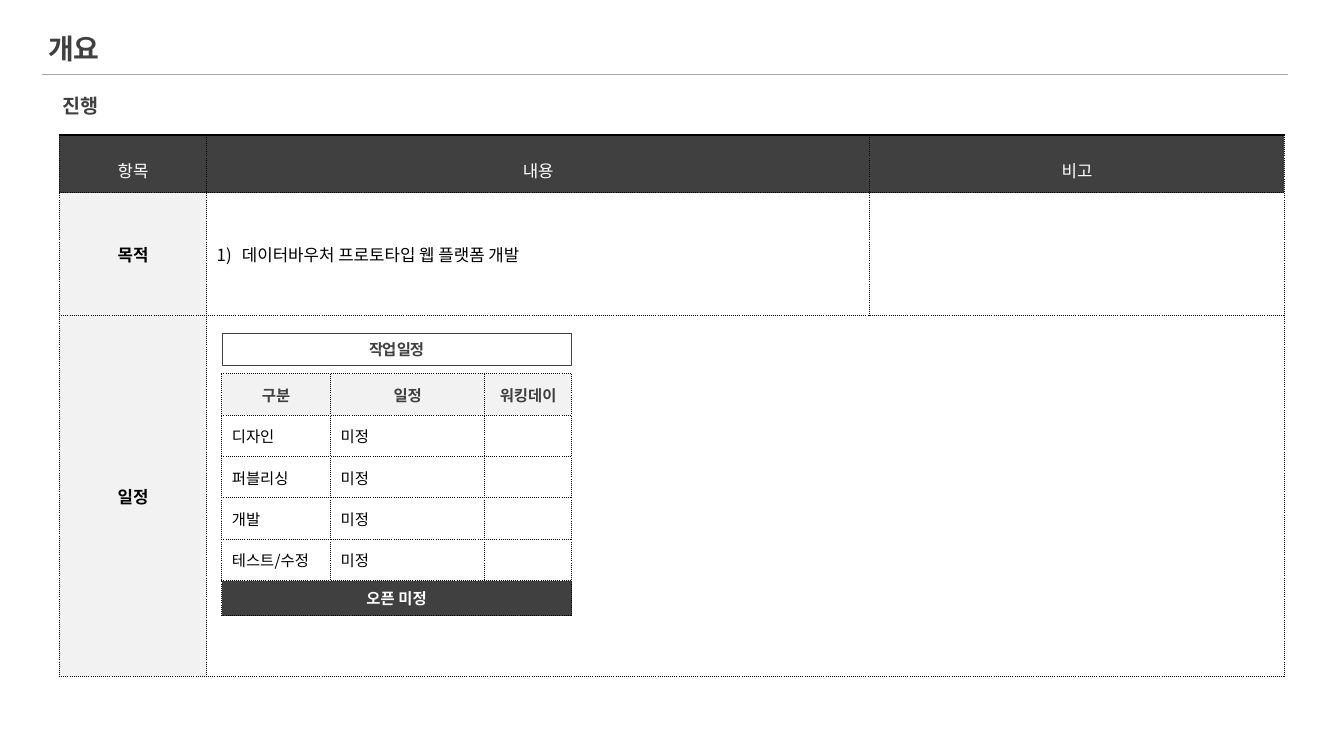
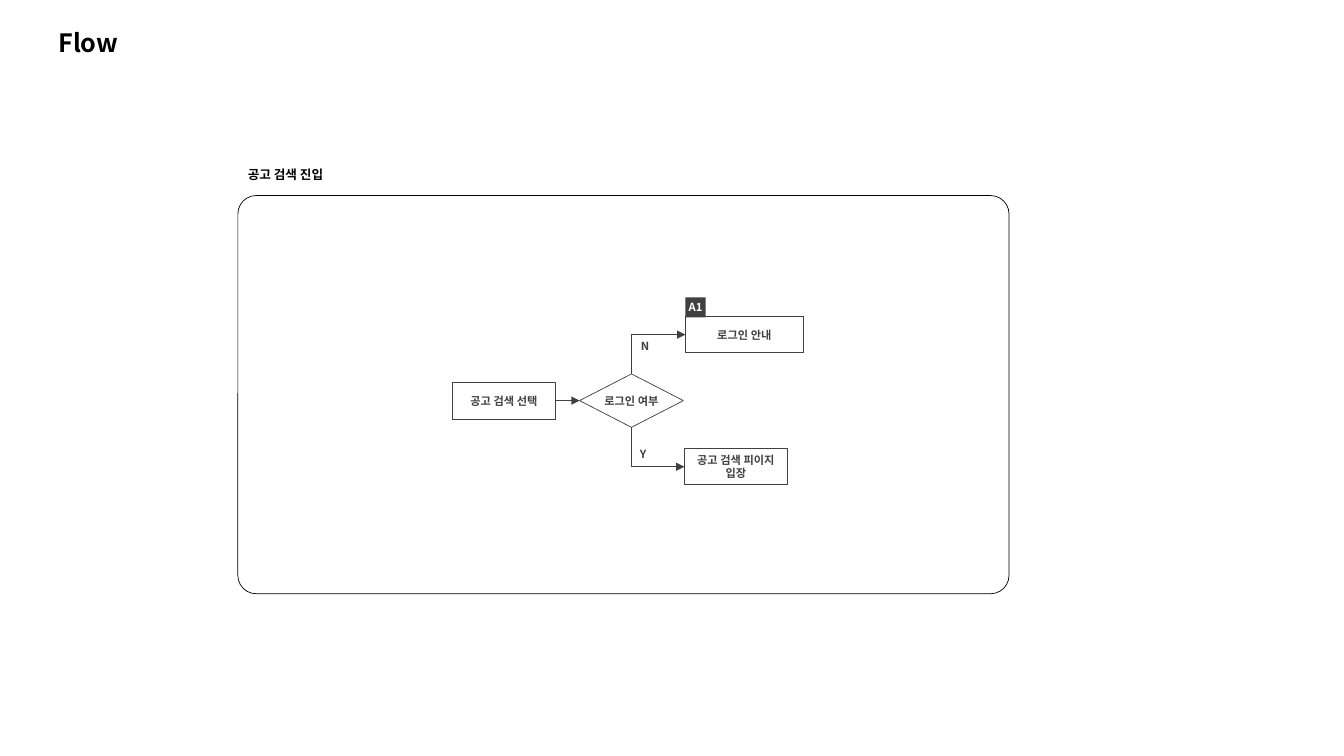
from dataclasses import dataclass
from lxml.etree import SubElement
from pptx import Presentation
from pptx.dml.color import RGBColor
from pptx.enum.shapes import MSO_CONNECTOR, MSO_SHAPE
from pptx.enum.text import MSO_ANCHOR, PP_ALIGN
from pptx.oxml.ns import qn
from pptx.util import Inches, Pt


@dataclass(frozen=True)
class Theme:
    font: str = "Noto Sans CJK KR"
    ink: str = "000000"
    dark: str = "404040"
    rule: str = "A6A6A6"
    pale: str = "F2F2F2"
    paper: str = "FFFFFF"
    title: int = 20
    flow_title: int = 18
    heading: int = 14
    table: int = 12
    schedule: int = 11
    caption: int = 9
    node: int = 8


THEME = Theme()
CELL = 0.1  # grid step in inches; every place below counts grid steps
COLUMNS, ROWS = 133.33, 75
LEFT, CENTER = PP_ALIGN.LEFT, PP_ALIGN.CENTER

# Cell styles: fill, text colour, bold, alignment
CELL_STYLES = {
    "head": (THEME.dark, THEME.paper, False, CENTER),
    "label": (THEME.pale, THEME.ink, True, CENTER),
    "subhead": (THEME.pale, THEME.dark, True, CENTER),
    "body": (THEME.paper, THEME.ink, False, LEFT),
    "number": (THEME.paper, THEME.ink, False, LEFT),
    "total": (THEME.dark, THEME.paper, True, CENTER),
}

# Content: overview slide
OVERVIEW_TITLE = ("개요", (3.8, 3, 62.9, 3.8),
                  dict(size=THEME.title, color=THEME.dark, spacing=0.9))
OVERVIEW_HEADING = ("진행", (5.2, 8.8, 116.5, 3.4),
                    dict(size=THEME.heading, color=THEME.dark))
TITLE_RULE = ((4.2, 7.4), (127.8, 7.4))
OVERVIEW_TABLE = dict(
    place=(5.9, 13.4), widths=[14.6, 65.8, 41.1], heights=[5.7, 12.2, 35.8],
    size=THEME.table, merge=((2, 1), (2, 2)), top_width=1, head_spacing=1.5,
    rows=[
        (["항목", "내용", "비고"], ["head"] * 3),
        (["목적", "데이터바우처 프로토타입 웹 플랫폼 개발", ""], ["label", "number", "body"]),
        (["일정", "", ""], ["label", "body", "body"]),
    ])
SCHEDULE_BANNER = ("작업 일정", (22, 33.1, 34.7, 3.1))
TASKS = ["디자인", "퍼블리싱", "개발", "테스트/수정"]
SCHEDULE_TABLE = dict(
    place=(22, 37.1), widths=[10.8, 15.3, 8.6], heights=[4.1] * 5 + [3.5],
    size=THEME.schedule, merge=((5, 0), (5, 2)),
    rows=[(["구분", "일정", "워킹데이"], ["subhead"] * 3)]
    + [([task, "미정", ""], ["body"] * 3) for task in TASKS]
    + [(["오픈 미정", "", ""], ["total"] * 3)])

# Content: flow slide
FLOW_TITLE = ("Flow", (4.8, 2.2, 85.1, 4),
              dict(size=THEME.flow_title, color=THEME.ink))
FLOW_CAPTION = ("공고 검색 진입", (23.6, 16.1, 9.6, 2.3),
                dict(size=THEME.caption, color=THEME.ink))
FLOW_PANEL = (23.6, 19.4, 76.5, 39.5)
FLOW_NODES = {
    "select": ("공고 검색 선택", (44.9, 37.9, 10.2, 3.7), MSO_SHAPE.ROUNDED_RECTANGLE),
    "signed_in": ("로그인 여부", (57.5, 37.1, 10.3, 5.3), MSO_SHAPE.FLOWCHART_DECISION),
    "enter": ("공고 검색 피이지\n입장", (67.9, 44.5, 10.2, 3.6), MSO_SHAPE.ROUNDED_RECTANGLE),
    "notice": ("로그인 안내", (68, 31.4, 11.7, 3.6), MSO_SHAPE.ROUNDED_RECTANGLE),
}
# Node sides: 0 top, 1 left, 2 bottom, 3 right
STRAIGHT_STEP = ("select", 3, "signed_in", 1)
BRANCHES = [("signed_in", 0, "notice", 1), ("signed_in", 2, "enter", 1)]
BRANCH_LABELS = [("N", (62.6, 33.2, 2.2, 2.4)), ("Y", (62.5, 43.9, 2.2, 2.4))]
SCREEN_TAG = ("A1", (68, 29.5, 2, 2))


def steps(*counts):
    return [Inches(count * CELL) for count in counts]


def rgb(color):
    return RGBColor.from_string(color)


def write(frame, text, size, color, bold=True, align=LEFT, spacing=None,
          tracking=None, numbered=False):
    for index, line in enumerate(text.split("\n")):
        paragraph = frame.add_paragraph() if index else frame.paragraphs[0]
        paragraph.alignment = align
        if spacing:
            paragraph.line_spacing = spacing
        if numbered:
            props = paragraph._p.get_or_add_pPr()
            props.set("marL", str(Inches(0.25)))
            props.set("indent", str(-Inches(0.25)))
            SubElement(props, qn("a:buAutoNum"), type="arabicParenR")
        if not line:
            # Keeps an empty cell from growing its row
            SubElement(paragraph._p, qn("a:endParaRPr"), sz=str(size * 100))
            continue
        run = paragraph.add_run()
        run.text = line
        for name, value in dict(size=Pt(size), bold=bold, name=THEME.font).items():
            setattr(run.font, name, value)
        run.font.color.rgb = rgb(color)
        props = run._r.get_or_add_rPr()
        SubElement(props, qn("a:ea"), typeface=THEME.font)
        if tracking:
            props.set("spc", str(tracking * 100))


def add_label(slide, text, place, style, wrap=True):
    label = slide.shapes.add_textbox(*steps(*place))
    label.text_frame.word_wrap = wrap
    write(label.text_frame, text, **style)


def add_box(slide, place, kind=MSO_SHAPE.ROUNDED_RECTANGLE, text="", fill=THEME.paper,
            line=THEME.dark, line_width=0.5, corner=0, **style):
    box = slide.shapes.add_shape(kind, *steps(*place))
    box.shadow.inherit = False
    box.fill.solid()
    box.fill.fore_color.rgb = rgb(fill)
    if line:
        box.line.color.rgb = rgb(line)
        box.line.width = Pt(line_width)
    else:
        box.line.fill.background()
    if kind == MSO_SHAPE.ROUNDED_RECTANGLE:
        box.adjustments[0] = corner
    frame = box.text_frame
    settings = dict(margin_left=0, margin_right=0, margin_top=0, margin_bottom=0,
                    word_wrap=False, vertical_anchor=MSO_ANCHOR.MIDDLE)
    for name, value in settings.items():
        setattr(frame, name, value)
    if text:
        write(frame, text, align=CENTER, **style)
    return box


def add_line(slide, start=(0, 0), end=(0, 0), color=THEME.dark, arrow=None,
             kind=MSO_CONNECTOR.STRAIGHT):
    line = slide.shapes.add_connector(kind, *steps(*start, *end))
    line.line.color.rgb = rgb(color)
    line.line.width = Pt(0.5)
    if arrow:
        SubElement(line.line._get_or_add_ln(), qn(f"a:{arrow}"), type="triangle")
    SubElement(line._element.spPr, qn("a:effectLst"))
    return line


def border_cell(cell, top_width=None):
    props = cell._tc.get_or_add_tcPr()
    for side in "LRTB":
        solid = side == "T" and top_width
        width = top_width if solid else 0.75
        edge = SubElement(props, qn(f"a:ln{side}"), w=str(Pt(width)))
        SubElement(SubElement(edge, qn("a:solidFill")), qn("a:srgbClr"), val=THEME.ink)
        SubElement(edge, qn("a:prstDash"), val="solid" if solid else "sysDot")


def add_grid(slide, place, widths, heights, size, merge, rows,
             top_width=None, head_spacing=None):
    grid = slide.shapes.add_table(
        len(heights), len(widths), *steps(*place, sum(widths), sum(heights))).table
    grid.first_row = grid.horz_banding = False
    for column, width in zip(grid.columns, steps(*widths)):
        column.width = width
    for row, height in zip(grid.rows, steps(*heights)):
        row.height = height
    for r, (texts, styles) in enumerate(rows):
        for c, (text, style) in enumerate(zip(texts, styles)):
            fill, color, bold, align = CELL_STYLES[style]
            cell = grid.cell(r, c)
            border_cell(cell, top_width if r == 0 else None)
            cell.fill.solid()
            cell.fill.fore_color.rgb = rgb(fill)
            cell.vertical_anchor = MSO_ANCHOR.MIDDLE
            write(cell.text_frame, text, size, color, bold, align,
                  spacing=head_spacing if r == 0 else None,
                  numbered=style == "number")
    first, last = merge
    grid.cell(*first).merge(grid.cell(*last))


def build_overview(slide):
    add_grid(slide, **OVERVIEW_TABLE)
    add_label(slide, *OVERVIEW_TITLE)
    add_grid(slide, **SCHEDULE_TABLE)
    add_label(slide, *OVERVIEW_HEADING)
    banner, place = SCHEDULE_BANNER
    add_box(slide, place, text=banner, line_width=0.25, size=THEME.schedule,
            color=THEME.dark, tracking=-1)
    add_line(slide, *TITLE_RULE, color=THEME.rule)


def build_flow(slide):
    add_label(slide, *FLOW_TITLE)
    add_box(slide, FLOW_PANEL, line=THEME.ink, corner=0.046)
    add_label(slide, *FLOW_CAPTION, wrap=False)

    # Nodes
    nodes = {}
    for key, (text, place, kind) in FLOW_NODES.items():
        nodes[key] = add_box(slide, place, kind, text, size=THEME.node, color=THEME.dark)
    decision_fill = nodes["signed_in"]._element.spPr.find(qn("a:solidFill"))
    SubElement(decision_fill[0], qn("a:alpha"), val="70000")

    # Arrows; a branch is drawn from its target so that its one bend falls beside the decision
    source, source_side, target, target_side = STRAIGHT_STEP
    step = add_line(slide, arrow="tailEnd")
    step.begin_connect(nodes[source], source_side)
    step.end_connect(nodes[target], target_side)
    for source, source_side, target, target_side in BRANCHES:
        branch = add_line(slide, arrow="headEnd", kind=MSO_CONNECTOR.ELBOW)
        branch._element.spPr.find(qn("a:prstGeom")).set("prst", "bentConnector2")
        branch.begin_connect(nodes[target], target_side)
        branch.end_connect(nodes[source], source_side)

    # Branch labels and screen tag
    for text, place in BRANCH_LABELS:
        add_label(slide, text, place,
                  dict(size=THEME.node, color=THEME.dark, align=CENTER))
    tag, place = SCREEN_TAG
    add_box(slide, place, MSO_SHAPE.RECTANGLE, tag, fill=THEME.dark, line=None,
            size=THEME.node, color=THEME.paper)


def main():
    deck = Presentation()
    deck.slide_width, deck.slide_height = steps(COLUMNS, ROWS)
    for build in (build_overview, build_flow):
        build(deck.slides.add_slide(deck.slide_layouts[6]))
    deck.save("out.pptx")


if __name__ == "__main__":
    main()
